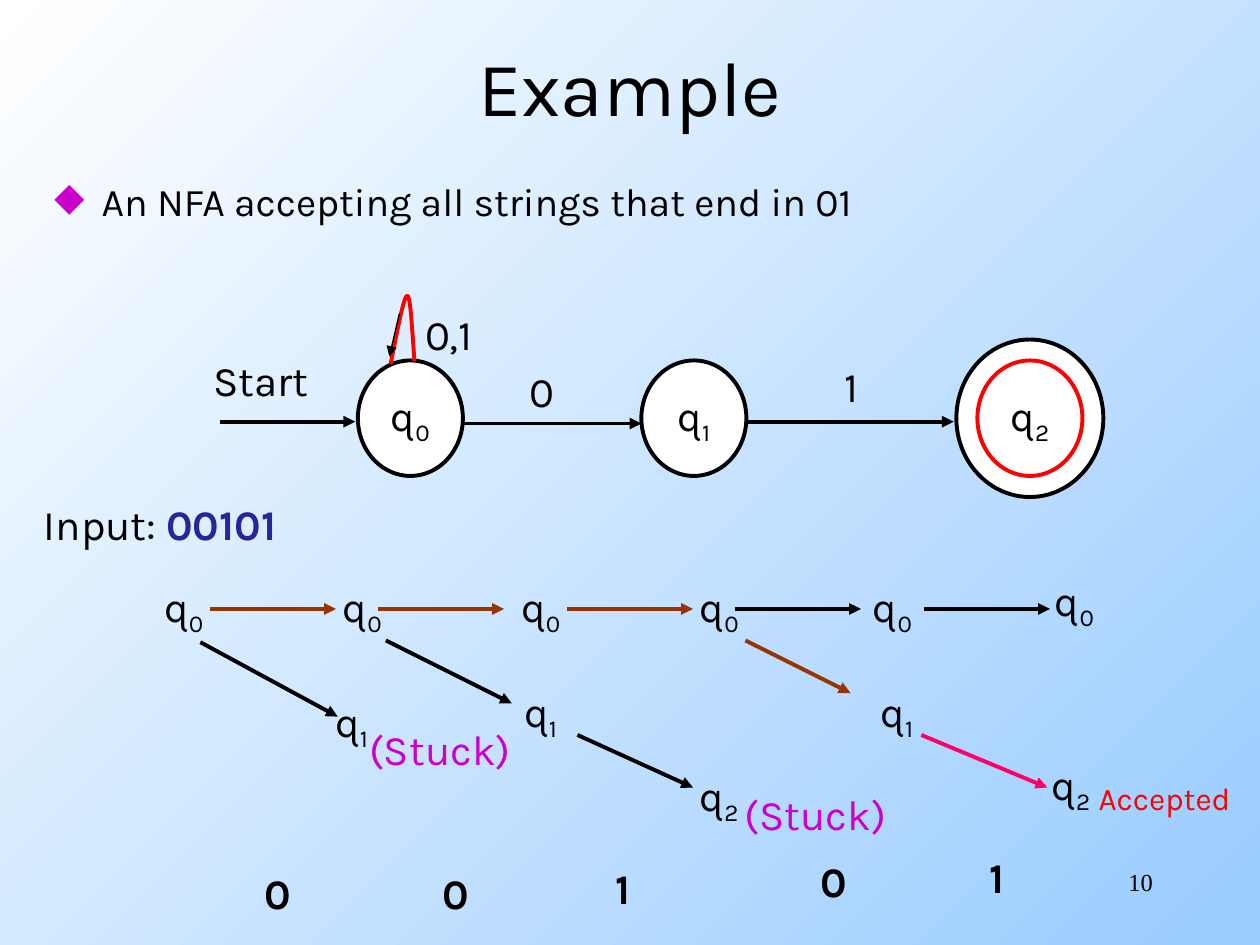
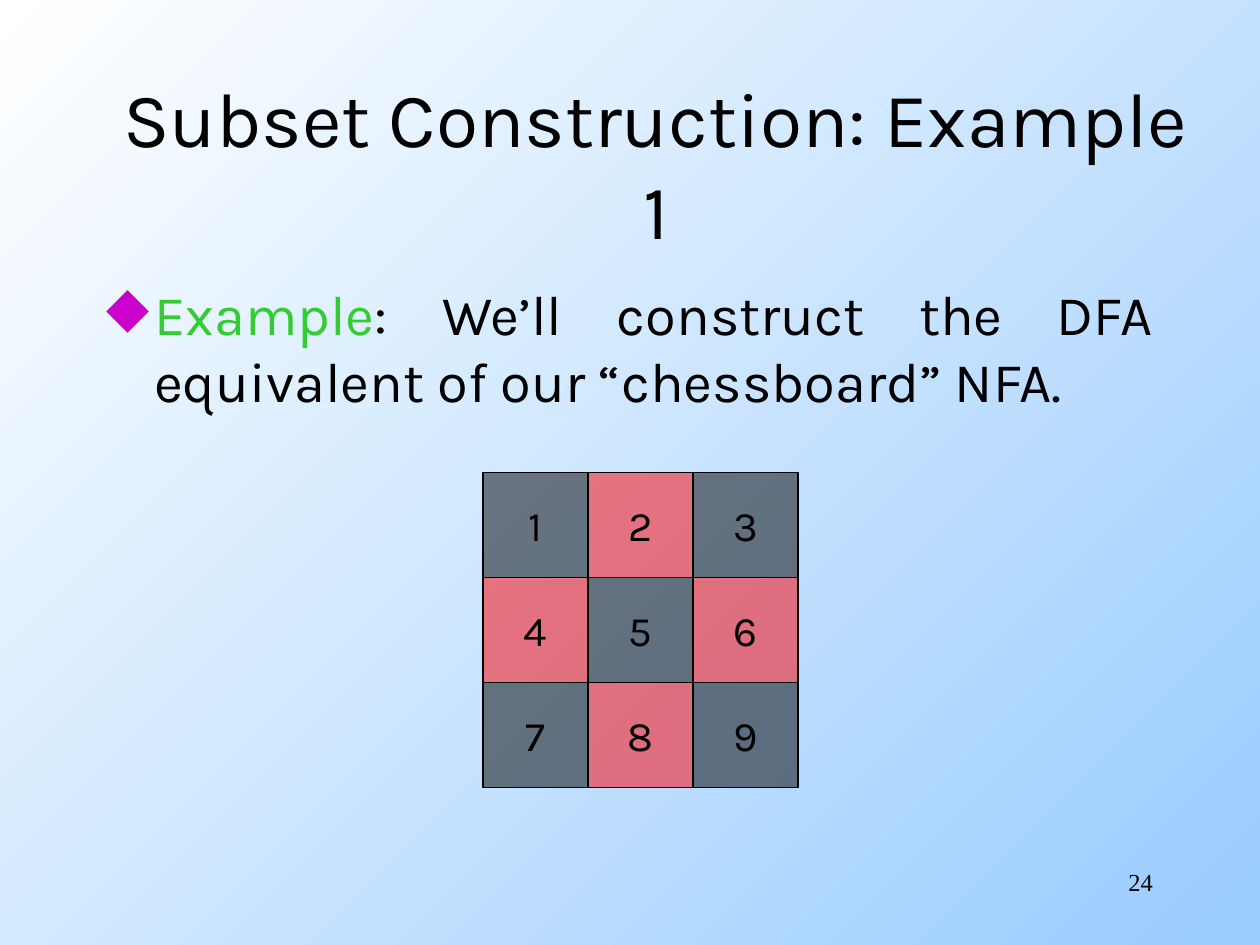
from lxml import etree
from pptx import Presentation
from pptx.dml.color import RGBColor
from pptx.enum.shapes import MSO_CONNECTOR, MSO_SHAPE
from pptx.enum.text import MSO_ANCHOR, MSO_AUTO_SIZE, PP_ALIGN
from pptx.oxml.ns import qn
from pptx.util import Pt

# Shared style
BLACK = RGBColor(0x00, 0x00, 0x00)
WHITE = RGBColor(0xFF, 0xFF, 0xFF)
SKY = RGBColor(0x99, 0xCC, 0xFF)
RED = RGBColor(0xFF, 0x00, 0x00)
BROWN = RGBColor(0x99, 0x33, 0x00)
PINK = RGBColor(0xFF, 0x00, 0x66)
PURPLE = RGBColor(0xCC, 0x00, 0xCC)
NAVY = RGBColor(0x26, 0x26, 0x99)
GREEN = RGBColor(0x33, 0xCC, 0x33)

BODY_FONT, NUMBER_FONT = "Karla", "Times New Roman"
LEFT, CENTER, RIGHT, JUSTIFY = PP_ALIGN.LEFT, PP_ALIGN.CENTER, PP_ALIGN.RIGHT, PP_ALIGN.JUSTIFY
TOP, MIDDLE = MSO_ANCHOR.TOP, MSO_ANCHOR.MIDDLE
ELLIPSE, RECTANGLE = MSO_SHAPE.OVAL, MSO_SHAPE.RECTANGLE
STRAIGHT = MSO_CONNECTOR.STRAIGHT
NO_AUTOFIT = MSO_AUTO_SIZE.NONE
TITLE_ONLY = 5
NUMBER_BOX = (516, 492, 150, 36)
BULLET_INDENT = 27

# Slide 1: the automaton; positions are centres
STATE_SIZE, ACCEPT_SIZE = (60, 66), (84, 90)
STATE_Y = 239
STATES = [("0", 234.5, BLACK), ("1", 396.5, BLACK), ("2", 588.5, RED)]
TRANSITIONS = [((264, 242), (366.5, 242)), ((425.5, 241), (545, 241)), ((125.5, 241), (203, 241))]
TRANSITION_LABELS = [("Start", 149, 217), ("0,1", 256.5, 190.5), ("0", 309.5, 223.5), ("1", 486.5, 220.5)]
LOOP_START = (236.9, 206.6)
LOOP_CURVES = [[(235.4, 187.9), (234.7, 168.5), (232.6, 169)],
               [(230.4, 169.2), (224.6, 201.6), (223.2, 208.1)]]
LOOP_ARROW = ((228.2, 179.3), (222.5, 203.8))

# Slide 1: the run on the input
INPUT_BOX = (18, 281.5, 157, 36)
TRACE_Y, STEP_LENGTH = 348, 72
TRACE_STATES = [("0", 105, 348), ("0", 207, 348), ("0", 309, 348), ("0", 411, 348),
                ("0", 510, 348), ("0", 614, 344.5),
                ("1", 201, 413.5), ("1", 309, 408), ("1", 512.5, 408),
                ("2", 411, 456), ("2", 612, 449.5)]
LOOP_STEPS = [(120, BROWN), (216, BROWN), (324, BROWN), (420, BLACK), (528, BLACK)]
BRANCHES = [((114.5, 367), (193, 409.5), BLACK), ((220.5, 366), (292.5, 402), BLACK),
            ((330, 420), (396, 450), BLACK), ((426, 366), (486, 396), BROWN),
            ((526.5, 420), (598.5, 450), PINK)]
INPUT_SYMBOLS = [("0", 159, 510), ("0", 260.5, 510), ("1", 356, 507), ("0", 476.5, 503.5), ("1", 570, 501)]
OUTCOMES = [("(Stuck)", 251.5, 428, PURPLE, 24), ("(Stuck)", 466, 465, PURPLE, 24),
            ("Accepted", 665.5, 456, RED, 18)]

# Slide 2: the chessboard
BOARD_LEFT, BOARD_TOP, SQUARE, BOARD_SIDE = 276, 270, 60, 3
SQUARE_COLORS = [BLACK, RED]


def points(values):
    return [Pt(value) for value in values]


def write(shape, pieces, size=24, align=CENTER, anchor=MIDDLE, wrap=False, font=BODY_FONT):
    """Fill a shape with (text, run settings) pieces in one paragraph."""
    frame = shape.text_frame
    frame.auto_size = NO_AUTOFIT
    frame.word_wrap = wrap
    frame.vertical_anchor = anchor
    paragraph = frame.paragraphs[0]
    paragraph.alignment = align
    for text, settings in pieces:
        run = paragraph.add_run()
        run.text = text
        run.font.name = font
        run.font.size = Pt(size)
        run.font.bold = settings.get("bold", False)
        run.font.color.rgb = settings.get("color", BLACK)
        if settings.get("subscript"):
            run._r.get_or_add_rPr().set("baseline", "-25000")
    return paragraph


def state_name(index):
    return [("q", {}), (index, {"subscript": True})]


def add_text(slide, box, pieces, **style):
    return write(slide.shapes.add_textbox(*points(box)), pieces, **style)


def add_label(slide, x, y, pieces, **style):
    width, height = 72, 24
    add_text(slide, (x - width / 2, y - height / 2, width, height), pieces, **style)


def add_bullet(slide, box, pieces, size, align):
    paragraph = add_text(slide, box, pieces, size=size, align=align, anchor=TOP, wrap=True)
    paragraph.space_before = Pt(8)
    properties = paragraph._p.get_or_add_pPr()
    properties.set("marL", str(Pt(BULLET_INDENT)))
    properties.set("indent", str(-Pt(BULLET_INDENT)))
    color = etree.SubElement(properties, qn("a:buClr"))
    etree.SubElement(color, qn("a:srgbClr"), val=str(PURPLE))
    etree.SubElement(properties, qn("a:buChar"), char="◆")


def add_shape(slide, kind, box, fill, line, line_width):
    shape = slide.shapes.add_shape(kind, *points(box))
    shape.shadow.inherit = False
    shape.fill.solid()
    shape.fill.fore_color.rgb = fill
    shape.line.color.rgb = line
    shape.line.width = Pt(line_width)
    return shape


def add_circle(slide, x, size, line):
    width, height = size
    box = (x - width / 2, STATE_Y - height / 2, width, height)
    return add_shape(slide, ELLIPSE, box, WHITE, line, 2.25)


def add_arrow(slide, start, end, color=BLACK, width=2.25):
    arrow = slide.shapes.add_connector(STRAIGHT, *points(start + end))
    arrow.line.color.rgb = color
    arrow.line.width = Pt(width)
    properties = arrow._element.spPr
    etree.SubElement(properties.find(qn("a:ln")), qn("a:tailEnd"), type="triangle")
    etree.SubElement(properties, qn("a:effectLst"))


def curve_points(start, controls, steps=12):
    """Points along a cubic curve, without its start."""
    corners = [start] + controls
    for step in range(1, steps + 1):
        t = step / steps
        weights = ((1 - t) ** 3, 3 * t * (1 - t) ** 2, 3 * t ** 2 * (1 - t), t ** 3)
        yield tuple(Pt(sum(w * corner[axis] for w, corner in zip(weights, corners))) for axis in (0, 1))


def add_loop(slide):
    builder = slide.shapes.build_freeform(*points(LOOP_START))
    start = LOOP_START
    for controls in LOOP_CURVES:
        builder.add_line_segments(list(curve_points(start, controls)), close=False)
        start = controls[-1]
    loop = builder.convert_to_shape()
    loop.shadow.inherit = False
    loop.fill.background()
    loop.line.color.rgb = RED
    loop.line.width = Pt(2.25)


def set_background(master):
    fill = master.background.fill
    fill.gradient()
    fill.gradient_angle = 315
    for stop, color in zip(fill.gradient_stops, (WHITE, SKY)):
        stop.color.rgb = color


def add_slide(presentation, title, title_box, number):
    slide = presentation.slides.add_slide(presentation.slide_layouts[TITLE_ONLY])
    placeholder = slide.shapes.title
    placeholder.left, placeholder.top, placeholder.width, placeholder.height = points(title_box)
    write(placeholder, [(title, {})], size=44, wrap=True)
    add_text(slide, NUMBER_BOX, [(number, {})], size=14, align=RIGHT, anchor=TOP,
             wrap=True, font=NUMBER_FONT)
    return slide


def build_nfa_slide(presentation):
    slide = add_slide(presentation, "Example", (54, 28, 612, 42), "10")
    add_bullet(slide, (24, 98, 672, 66), [("An NFA accepting all strings that end in 01", {})], 22.4, LEFT)

    # Automaton
    add_circle(slide, STATES[-1][1], ACCEPT_SIZE, BLACK)
    for index, x, line in STATES:
        write(add_circle(slide, x, STATE_SIZE, line), state_name(index))
    for start, end in TRANSITIONS:
        add_arrow(slide, start, end)
    add_loop(slide)
    add_arrow(slide, *LOOP_ARROW, width=0.75)
    for text, x, y in TRANSITION_LABELS:
        add_label(slide, x, y, [(text, {})])

    # Run on the input
    add_text(slide, INPUT_BOX, [("Input: ", {}), ("00101", {"color": NAVY, "bold": True})],
             align=LEFT, anchor=TOP)
    for index, x, y in TRACE_STATES:
        add_label(slide, x, y, state_name(index))
    for x, color in LOOP_STEPS:
        add_arrow(slide, (x, TRACE_Y), (x + STEP_LENGTH, TRACE_Y), color)
    for start, end, color in BRANCHES:
        add_arrow(slide, start, end, color)
    for symbol, x, y in INPUT_SYMBOLS:
        add_label(slide, x, y, [(symbol, {"bold": True})])
    for text, x, y, color, size in OUTCOMES:
        add_label(slide, x, y, [(text, {"color": color})], size=size)


def build_chessboard_slide(presentation):
    slide = add_slide(presentation, "Subset Construction: Example 1", (54, 48, 642, 90), "24")
    add_bullet(slide, (54, 156, 612, 324),
               [("Example", {"color": GREEN}),
                (": We’ll construct the DFA equivalent of our “chessboard” NFA.", {})], 32, JUSTIFY)

    # Half-transparent squares in alternating colours
    for index in range(BOARD_SIDE ** 2):
        row, column = divmod(index, BOARD_SIDE)
        box = (BOARD_LEFT + column * SQUARE, BOARD_TOP + row * SQUARE, SQUARE, SQUARE)
        square = add_shape(slide, RECTANGLE, box, SQUARE_COLORS[index % 2], BLACK, 0.75)
        color = square._element.spPr.find(qn("a:solidFill")).find(qn("a:srgbClr"))
        etree.SubElement(color, qn("a:alpha"), val="50000")
        write(square, [(str(index + 1), {})])


def main():
    presentation = Presentation()
    presentation.slide_width, presentation.slide_height = Pt(720), Pt(540)
    set_background(presentation.slide_master)
    build_nfa_slide(presentation)
    build_chessboard_slide(presentation)
    presentation.save("out.pptx")


if __name__ == "__main__":
    main()
